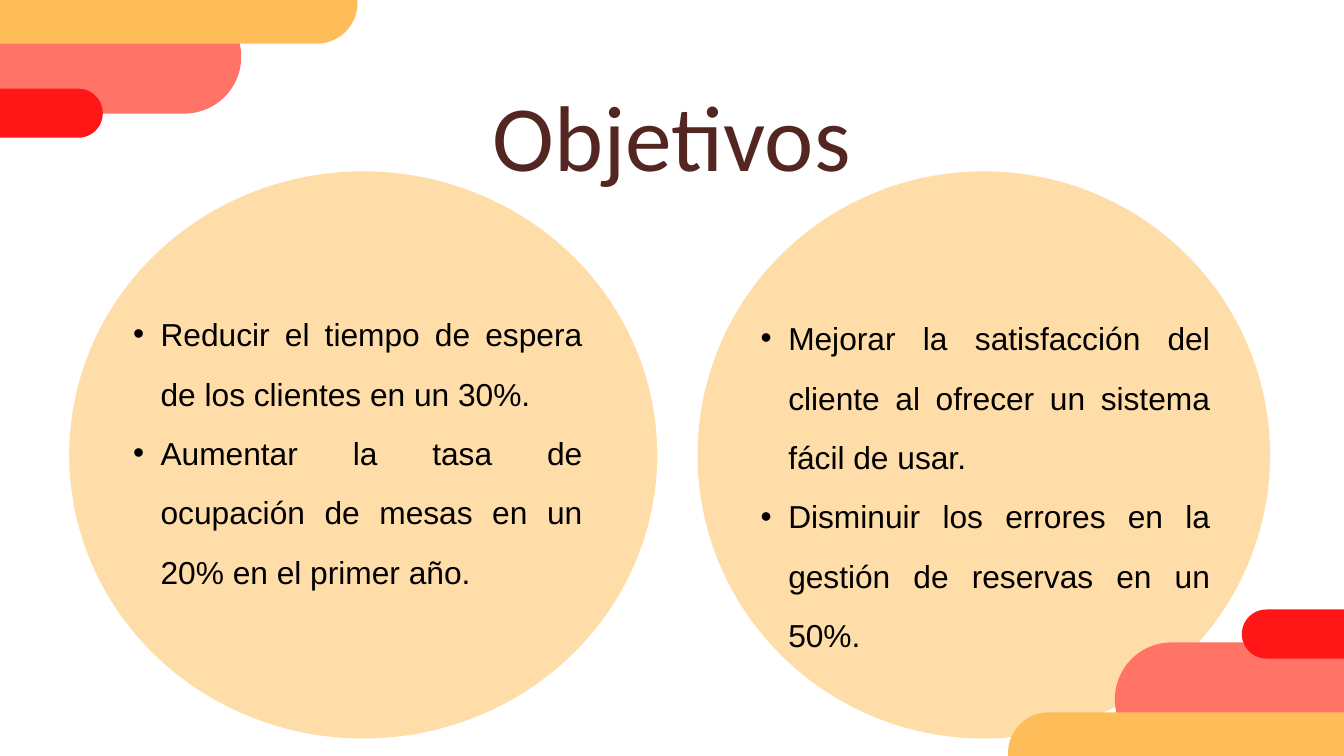
from lxml import etree
from pptx import Presentation
from pptx import util as u
from pptx.dml.color import RGBColor
from pptx.enum import shapes, text
from pptx.oxml.ns import qn

CREAM, ORANGE, CORAL, RED = "FFDDA9", "FFBD59", "FF7466", "FF1616"
BROWN, BLACK = "542622", "000000"

# Left, top, width, height in inches; listed from back to front
CIRCLES = [(1.03, 2.55, 8.75, 8.44), (10.38, 2.55, 8.52, 8.44)]
BARS = [
    # Top left corner
    (CORAL, (-0.95, 0, 4.54, 1.69)),
    (RED, (-2.97, 1.32, 4.5, 0.73)),
    (ORANGE, (-3.2, -0.56, 8.52, 1.21)),
    # Bottom right corner
    (CORAL, (16.59, 9.56, 4.13, 1.69)),
    (RED, (18.48, 9.07, 4.5, 0.73)),
    (ORANGE, (15, 10.6, 7.98, 1.21)),
]
GOALS = [
    ((1.52, 4.37, 7.15, 5.04), [
        "Reducir el tiempo de espera de los clientes en un 30%.",
        "Aumentar la tasa de ocupación de mesas en un 20% en el primer año.",
    ]),
    ((10.86, 4.43, 7.15, 5.93), [
        "Mejorar la satisfacción del cliente al ofrecer un sistema fácil de usar.",
        "Disminuir los errores en la gestión de reservas en un 50%.",
    ]),
]


def rgb(color):
    return RGBColor.from_string(color)


def add_filled(slide, preset, box, color):
    shape = slide.shapes.add_shape(preset, *map(u.Inches, box))
    shape.shadow.inherit = False
    shape.fill.solid()
    shape.fill.fore_color.rgb = rgb(color)
    shape.line.fill.background()
    return shape


def add_bar(slide, color, box):
    bar = add_filled(slide, shapes.MSO_SHAPE.ROUNDED_RECTANGLE, box, color)
    bar.adjustments[0] = 0.5


def place_text(slide, holder, box, lines):
    """Move a placeholder to its box, bring it to the front and fill it."""
    holder.left, holder.top, holder.width, holder.height = map(u.Inches, box)
    slide.shapes._spTree.append(holder._element)
    frame = holder.text_frame
    frame.text = "\n".join(lines)
    frame.word_wrap = True
    frame.auto_size = text.MSO_AUTO_SIZE.NONE
    frame.vertical_anchor = text.MSO_ANCHOR.TOP
    frame.margin_left = frame.margin_top = 0
    frame.margin_right = frame.margin_bottom = 0
    return frame.paragraphs


def format_paragraph(paragraph, font, size, color, align, spacing):
    paragraph.font.name = font
    paragraph.font.size = u.Pt(size)
    paragraph.font.color.rgb = rgb(color)
    paragraph.alignment = align
    paragraph.line_spacing = spacing
    paragraph.space_before = u.Pt(0)


def add_bullet(paragraph, color):
    paragraph.level = 1
    props = paragraph._p.get_or_add_pPr()
    props.set("marL", str(u.Inches(0.87)))
    props.set("indent", str(u.Inches(-0.41)))
    # Bullet parts go after the spacing and before the default run properties
    bullet_color = etree.Element(qn("a:buClr"))
    etree.SubElement(bullet_color, qn("a:srgbClr"), val=color)
    bullet_font = etree.Element(qn("a:buFont"), typeface="Arial")
    bullet_char = etree.Element(qn("a:buChar"), char="•")
    default_run = props.find(qn("a:defRPr"))
    for part in (bullet_color, bullet_font, bullet_char):
        default_run.addprevious(part)


def add_goals(slide, holder, box, goals):
    for goal in place_text(slide, holder, box, goals):
        format_paragraph(goal, "Arial", 34, BLACK, text.PP_ALIGN.JUSTIFY, 1.56)
        add_bullet(goal, BLACK)


def main():
    deck = Presentation()
    deck.slide_width, deck.slide_height = u.Inches(20), u.Inches(11.25)
    slide = deck.slides.add_slide(deck.slide_layouts.get_by_name("Two Content"))
    title, *goal_holders = [
        holder for holder in slide.placeholders
        if holder.placeholder_format.idx < 3
    ]

    # Background circles
    for box in CIRCLES:
        add_filled(slide, shapes.MSO_SHAPE.OVAL, box, CREAM)

    # Title
    heading, = place_text(slide, title, (3.21, 0.49, 13.57, 1.68), ["Objetivos"])
    format_paragraph(heading, "Calibri", 100, BROWN, text.PP_ALIGN.CENTER, 1.4)

    # Corner bars
    for color, box in BARS:
        add_bar(slide, color, box)

    # Goals, one list per circle
    for holder, (box, goals) in zip(goal_holders, GOALS):
        add_goals(slide, holder, box, goals)

    deck.save("out.pptx")


if __name__ == "__main__":
    main()
